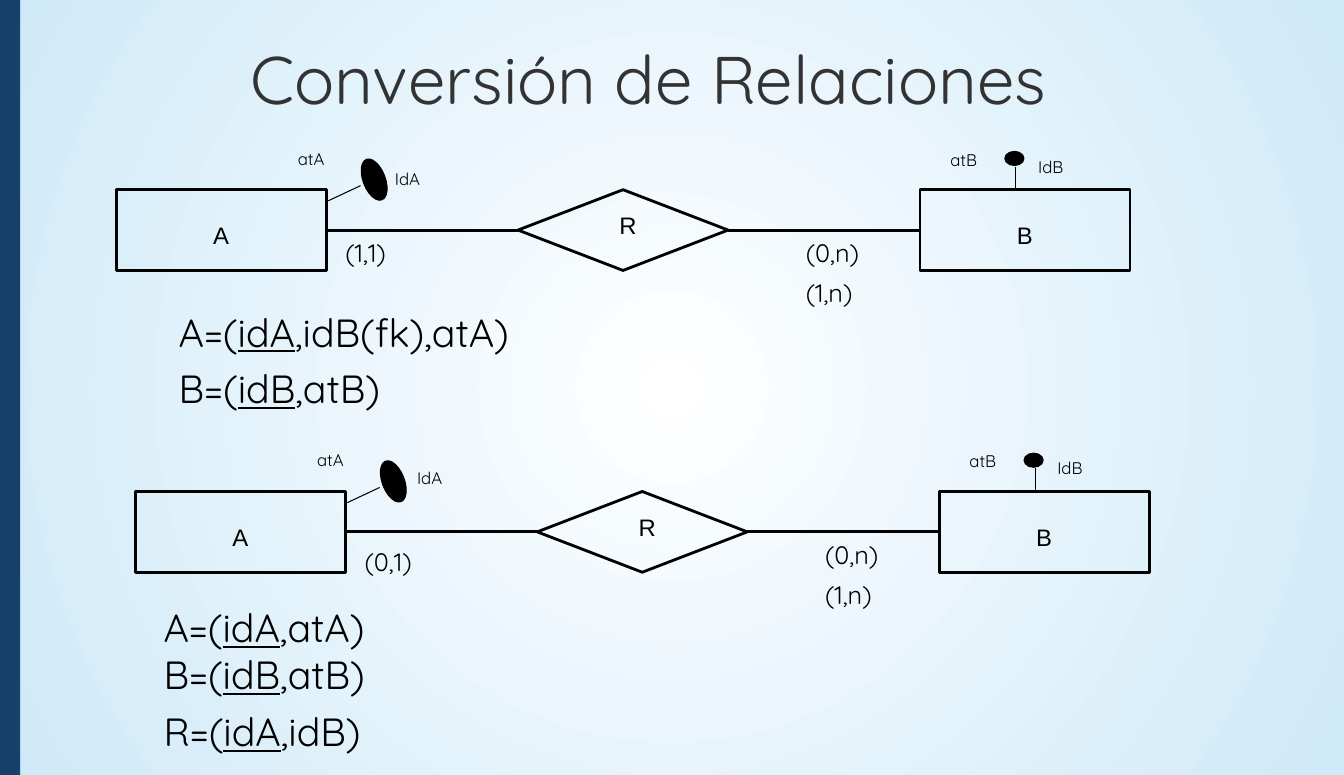
"""Build the slide on converting entity relationships into tables."""
from lxml import etree
from pptx import Presentation
from pptx.dml.color import RGBColor
from pptx.enum.shapes import MSO_CONNECTOR as CONNECTOR, MSO_SHAPE as SHAPE
from pptx.enum.text import MSO_ANCHOR as ANCHOR, PP_ALIGN as ALIGN
from pptx.oxml import parse_xml
from pptx.oxml.ns import nsdecls, qn
from pptx.util import Emu, Inches, Pt

TITLE = "Conversión de Relaciones"
DIAGRAMS = [
    {"origin": (1.15, 1.88), "left_card": "(1,1)", "card_at": (2.15, 0.41), "id_at": (2.64, -0.27)},
    {"origin": (1.34, 4.87), "left_card": "(0,1)", "card_at": (2.15, 0.48), "id_at": (2.67, -0.3)},
]
RIGHT_CARDS = ["(0,n)", "(1,n)"]
SCHEMAS = [
    {"box": (1.65, 2.99, 9, 1.17),
     "tables": [("A=(", "idA", ",idB(fk),atA)"), ("B=(", "idB", ",atB)")]},
    {"box": (1.5, 5.92, 3.62, 1.64),
     "tables": [("A=(", "idA", ",atA)"), ("B=(", "idB", ",atB)"), ("R=(", "idA", ",idB)")]},
]
THEME = {
    "ink": RGBColor.from_string("000000"),
    "title_ink": RGBColor.from_string("333333"),
    "bar": RGBColor.from_string("17406D"),
    "glow": [RGBColor.from_string("FFFFFF"), RGBColor.from_string("CEE9F8")],
    "font": "Quicksand", "node_font": "Arial",
    "title": 48, "schema": 28, "card": 18, "node": 17, "attribute": 12,
    "thick": 2, "thin": 0.75, "last_gap": 7,
}
SLIDE_SIZE = {"slide_width": Emu(12169775), "slide_height": Emu(7021513)}
NODE_W, NODE_H, NODE_STEP = 2.08, 0.8, 3.98
ENTITY_MARGINS = {"margin_left": 0, "margin_right": 0, "margin_top": Inches(0.1), "margin_bottom": 0}
RELATION_MARGINS = {"margin_left": Inches(0.1), "margin_right": 0, "margin_top": 0,
                    "margin_bottom": Inches(0.1)}
TEXT_MARGINS = {"margin_left": Inches(0.12), "margin_right": Inches(0.12),
                "margin_top": Inches(0.06), "margin_bottom": Inches(0.06)}


def assign(target, values):
    for name, value in values.items():
        setattr(target, name, value)


def style_font(font, size, color="ink", family="font"):
    assign(font, {"size": Pt(THEME[size]), "name": THEME[family]})
    font.color.rgb = THEME[color]


def paint_background(slide):
    fill = slide.background.fill
    fill.gradient()
    for stop, color in zip(fill.gradient_stops, THEME["glow"]):
        stop.color.rgb = color
    gradient = slide.element.find(".//" + qn("a:gradFill"))
    gradient.replace(gradient.find(qn("a:lin")), parse_xml(
        f'<a:path {nsdecls("a")} path="circle">'
        '<a:fillToRect l="50000" t="50000" r="50000" b="50000"/></a:path>'))


def add_shape(slide, kind, box, fill=None, line=None):
    shape = slide.shapes.add_shape(kind, *map(Inches, box))
    shape.shadow.inherit = False
    if fill is None:
        shape.fill.background()
    else:
        shape.fill.solid()
        shape.fill.fore_color.rgb = THEME[fill]
    if line is None:
        shape.line.fill.background()
    else:
        shape.line.color.rgb = THEME["ink"]
        shape.line.width = Pt(THEME[line])
    return shape


def add_line(slide, start, end, weight):
    line = slide.shapes.add_connector(CONNECTOR.STRAIGHT, *map(Inches, start + end))
    line.line.color.rgb = THEME["ink"]
    line.line.width = Pt(THEME[weight])
    etree.SubElement(line.element.spPr, qn("a:effectLst"))
    return line


def add_frame(slide, box):
    frame = slide.shapes.add_textbox(*map(Inches, box)).text_frame
    assign(frame, {"word_wrap": True, **TEXT_MARGINS})
    return frame


def add_label(slide, text, box, size, color="ink"):
    run = add_frame(slide, box).paragraphs[0].add_run()
    run.text = text
    style_font(run.font, size, color)


def add_node(slide, kind, text, box, margins):
    node = add_shape(slide, kind, box, line="thick")
    assign(node.text_frame, {"word_wrap": False, "vertical_anchor": ANCHOR.MIDDLE, **margins})
    paragraph = node.text_frame.paragraphs[0]
    paragraph.alignment = ALIGN.CENTER
    run = paragraph.add_run()
    run.text = text
    style_font(run.font, "node", family="node_font")
    return node


def add_diagram(slide, diagram):
    left, top = diagram["origin"]

    def at(dx, dy):
        return left + dx, top + dy

    kinds = [("A", SHAPE.RECTANGLE, ENTITY_MARGINS),
             ("R", SHAPE.FLOWCHART_DECISION, RELATION_MARGINS),
             ("B", SHAPE.RECTANGLE, ENTITY_MARGINS)]
    nodes = [add_node(slide, kind, name, at(i * NODE_STEP, 0) + (NODE_W, NODE_H), margins)
             for i, (name, kind, margins) in enumerate(kinds)]
    for i, (source, target) in enumerate(zip(nodes, nodes[1:])):
        link = add_line(slide, at(i * NODE_STEP + NODE_W, NODE_H / 2),
                        at((i + 1) * NODE_STEP, NODE_H / 2), "thick")
        link.begin_connect(source, 3)
        link.end_connect(target, 1)

    add_line(slide, at(2.1, 0.11), at(2.42, -0.04), "thin")
    id_a = add_shape(slide, SHAPE.OVAL, at(2.34, -0.21) + (0.43, 0.22), "ink", "thin")
    id_a.rotation = 69
    add_line(slide, at(8.91, 0), at(8.91, -0.23), "thin")
    add_shape(slide, SHAPE.OVAL, at(8.8, -0.38) + (0.19, 0.14), "ink", "thin")

    attributes = [("atA", (1.68, -0.47)), ("IdA", diagram["id_at"]),
                  ("atB", (8.14, -0.46)), ("IdB", (9.01, -0.39))]
    for text, offset in attributes:
        add_label(slide, text, at(*offset) + (1.25, 0.32), "attribute")
    cards = [(diagram["left_card"], diagram["card_at"])]
    cards += [(text, (6.71, 0.41 + 0.4 * i)) for i, text in enumerate(RIGHT_CARDS)]
    for text, offset in cards:
        add_label(slide, text, at(*offset) + (1.47, 0.42), "card")


def add_schema(slide, schema):
    frame = add_frame(slide, schema["box"])
    for i, parts in enumerate(schema["tables"]):
        paragraph = frame.add_paragraph() if i else frame.paragraphs[0]
        for text, is_key in zip(parts, (False, True, False)):
            run = paragraph.add_run()
            run.text = text
            style_font(run.font, "schema")
            run.font.underline = is_key
    paragraph.space_before = Pt(THEME["last_gap"])


def main():
    deck = Presentation()
    assign(deck, SLIDE_SIZE)
    slide = deck.slides.add_slide(deck.slide_layouts[6])
    paint_background(slide)
    add_shape(slide, SHAPE.RECTANGLE, (0, 0, 0.2, 7.68), "bar")
    add_label(slide, TITLE, (2.36, 0.31, 10.8, 1.11), "title", "title_ink")
    for diagram in DIAGRAMS:
        add_diagram(slide, diagram)
    for schema in SCHEMAS:
        add_schema(slide, schema)
    deck.save("out.pptx")


if __name__ == "__main__":
    main()
